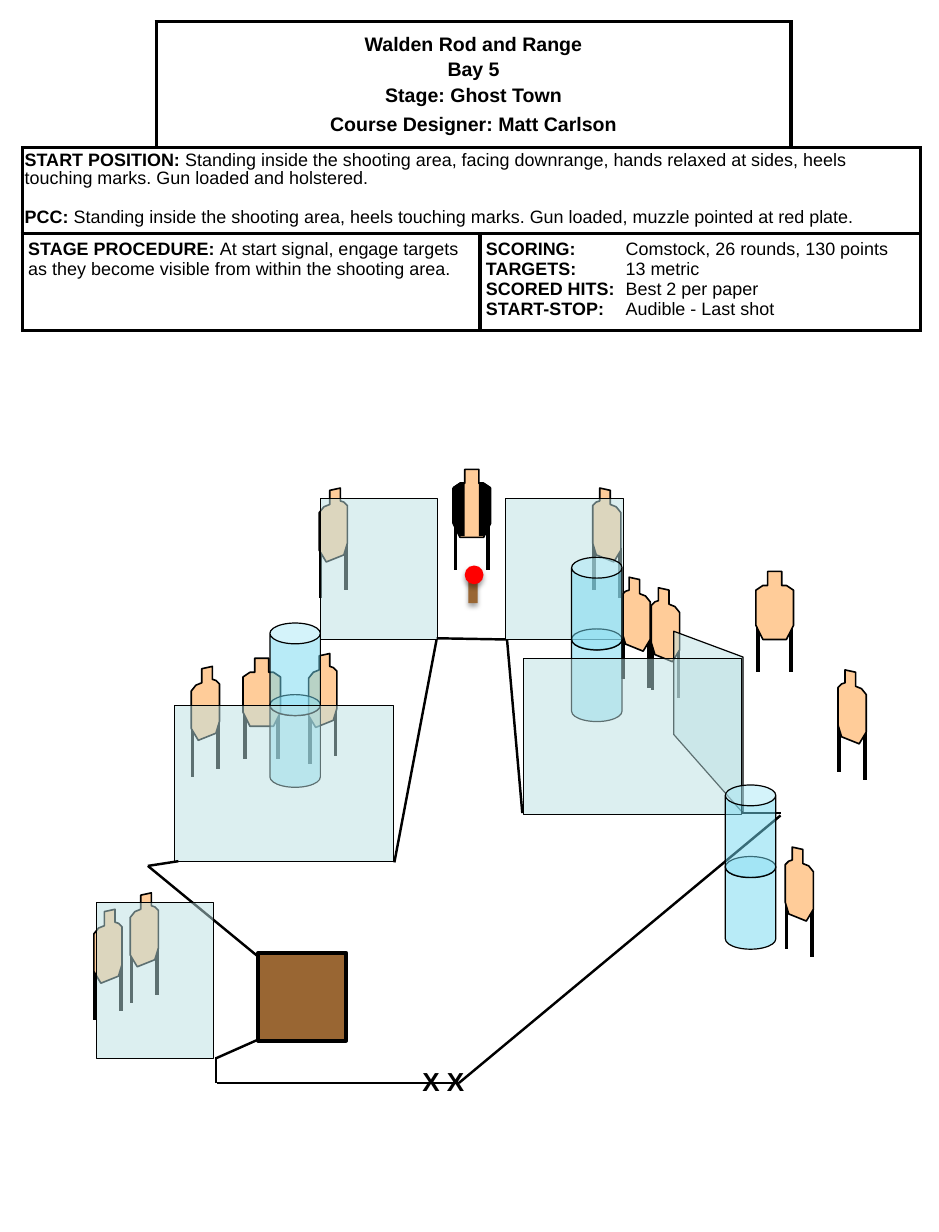
"""Build the one-page stage briefing with its rules table and range diagram."""
from lxml import etree
from pptx import Presentation
from pptx.dml.color import RGBColor
from pptx.enum.shapes import MSO_CONNECTOR, MSO_SHAPE
from pptx.enum.text import MSO_ANCHOR, PP_ALIGN
from pptx.oxml.ns import qn
from pptx.util import Inches, Pt

STRAIGHT = MSO_CONNECTOR.STRAIGHT
RECTANGLE, OVAL, CAN = MSO_SHAPE.RECTANGLE, MSO_SHAPE.OVAL, MSO_SHAPE.CAN
MIDDLE, TOP = MSO_ANCHOR.MIDDLE, MSO_ANCHOR.TOP
CENTER, LEFT = PP_ALIGN.CENTER, PP_ALIGN.LEFT
BLACK = RGBColor(0x00, 0x00, 0x00)
WHITE = RGBColor(0xFF, 0xFF, 0xFF)
TAN = RGBColor(0xFF, 0xCC, 0x99)
BROWN = RGBColor(0x99, 0x66, 0x33)
RED = RGBColor(0xFF, 0x00, 0x00)
PANEL_BLUE = RGBColor(0xBB, 0xE0, 0xE3)
BARREL_BLUE = RGBColor(0x73, 0xD9, 0xF1)
FONT = "Arial"

HEADING = ["Walden Rod and Range", "Bay 5", "Stage: Ghost Town", "Course Designer: Matt Carlson"]
START = [
    ("START POSITION:", " Standing inside the shooting area, facing downrange, hands relaxed "
     "at sides, heels touching marks. Gun loaded and holstered."),
    ("PCC:", " Standing inside the shooting area, heels touching marks. "
     "Gun loaded, muzzle pointed at red plate."),
]
PROCEDURE = [("STAGE PROCEDURE: ", "At start signal, engage targets as they become visible "
              "from within the shooting area.")]
SCORING = [
    ("SCORING:", "\tComstock, 26 rounds, 130 points"),
    ("TARGETS:", "\t13 metric"),
    ("SCORED HITS:", "\tBest 2 per paper"),
    ("START-STOP:", "\tAudible - Last shot"),
]
COLUMN_WIDTHS = [1.14, 2.76, 2.65, 1.1]
ROW_HEIGHTS = [1.08, 0.73, 0.83]

ANGLED_OUTLINE = [(0.15, 0.02), (0.06, 0), (0.06, 0.11), (0.03, 0.12), (0, 0.15), (0, 0.47),
                  (0.03, 0.57), (0.18, 0.63), (0.24, 0.53), (0.24, 0.21), (0.2, 0.16), (0.15, 0.14)]
ANGLED_LEGS = [(0.23, 0.51), (0.01, 0.44)]
FRONT_OUTLINE = [(0.1, 0), (0.22, 0), (0.22, 0.12), (0.26, 0.12), (0.32, 0.16), (0.32, 0.46),
                 (0.26, 0.58), (0.06, 0.58), (0, 0.46), (0, 0.16), (0.06, 0.12), (0.1, 0.12)]
FRONT_LEGS = [(0.02, 0.43), (0.3, 0.43)]
COVER_OUTLINE = [(0.22, 0.11), (0.22, 0.57), (0.26, 0.57), (0.32, 0.46), (0.32, 0.15), (0.26, 0.11)]
LEG_LENGTH, ANGLED_WIDTH, FRONT_WIDTH = 0.43, 0.24, 0.32
BARREL_WIDTH, BARREL_HEIGHT, BARREL_STEP = 0.43, 0.79, 0.61

UPRANGE = [
    ("right", 5.3, 4.92), ("right", 5.55, 5.01), ("front", 2.07, 5.61),
    ("line", 6.65, 6.93, 6.31, 6.93),
    ("right", 5.05, 4.16), ("panel", 4.31, 4.25, 1, 1.2),
    ("left", 2.72, 4.16), ("panel", 2.73, 4.25, 1, 1.2),
    ("line", 1.26, 7.38, 2.22, 8.17),
    ("left", 2.63, 5.57), ("left", 0.8, 7.75), ("left", 1.11, 7.61),
    ("barrel", 2.3, 5.31),
    ("screen", (5.74, 6.26), (6.33, 6.93), (6.33, 5.6), (5.74, 5.38)),
    ("barrel", 4.87, 4.75),
]
DOWNRANGE = [
    ("crate", 2.2, 8.12, 0.75, 0.75), ("marks", 3.5, 9.03, 0.58, 0.37),
    ("line", 1.84, 9.02, 2.2, 8.86),
    ("left", 1.63, 5.68),
    ("line", 3.91, 9.23, 1.85, 9.23), ("line", 3.72, 5.45, 3.36, 7.35),
    ("panel", 0.82, 7.69, 1, 1.33), ("panel", 1.49, 6.01, 1.86, 1.33),
    ("line", 1.52, 7.34, 1.26, 7.38),
    ("panel", 4.46, 5.61, 1.86, 1.33),
    ("line", 4.32, 5.45, 4.45, 6.93),
    ("right", 7.14, 5.71), ("front", 6.44, 4.87),
    ("line", 1.84, 9.23, 1.84, 9.01), ("line", 3.91, 9.23, 6.65, 6.95),
    ("line", 4.31, 5.45, 3.72, 5.44),
    ("covered", 3.86, 4), ("right", 6.69, 7.22),
    ("barrel", 6.18, 6.69), ("plate", 3.99, 4.92),
]


def paint(shape, fill, line_width=0, alpha=None):
    shape.shadow.inherit = False
    shape.fill.solid()
    shape.fill.fore_color.rgb = fill
    if alpha:
        color = shape.fill._xPr.find(qn("a:solidFill"))[0]
        etree.SubElement(color, qn("a:alpha"), val=str(alpha * 1000))
    if line_width:
        shape.line.color.rgb = BLACK
        shape.line.width = Pt(line_width)
    else:
        shape.line.fill.background()
    return shape


def add_box(shapes, kind, box, *style):
    return paint(shapes.add_shape(kind, *map(Inches, box)), *style)


def add_outline(shapes, points, *style):
    corners = [(Inches(x), Inches(y)) for x, y in points]
    builder = shapes.build_freeform(*corners[0])
    builder.add_line_segments(corners[1:], close=True)
    return paint(builder.convert_to_shape(), *style)


def add_line(shapes, x1, y1, x2, y2, width=1.5):
    line = shapes.add_connector(STRAIGHT, *map(Inches, (x1, y1, x2, y2)))
    line.line.color.rgb = BLACK
    line.line.width = Pt(width)
    etree.SubElement(line._element.spPr, qn("a:effectLst"))


def add_target(shapes, kind, left, top):
    angled = kind in ("left", "right")
    outline, legs = (ANGLED_OUTLINE, ANGLED_LEGS) if angled else (FRONT_OUTLINE, FRONT_LEGS)
    width = ANGLED_WIDTH if angled else FRONT_WIDTH

    def place(points, mirrored):
        return [(left + (width - x if mirrored else x), top + y) for x, y in points]

    target = shapes.add_group_shape().shapes
    for x, y in place(legs, kind == "left"):
        add_line(target, x, y, x, y + LEG_LENGTH, 2.25)
    add_outline(target, place(outline, kind == "left"), TAN, 1)
    if kind == "covered":
        for mirrored in (False, True):
            add_outline(target, place(COVER_OUTLINE, mirrored), BLACK)


def add_barrel(shapes, left, top):
    barrel = shapes.add_group_shape().shapes
    for y in (top + BARREL_STEP, top):
        box = (left, y, BARREL_WIDTH, BARREL_HEIGHT)
        add_box(barrel, CAN, box, BARREL_BLUE, 0.75, 50).adjustments[0] = 0.413


def add_plate(shapes, left, top):
    plate = shapes.add_group_shape().shapes
    parts = [(RECTANGLE, (left, top, 0.08, 0.22), BROWN),
             (OVAL, (left - 0.03, top - 0.1, 0.16, 0.16), RED)]
    for kind, box, fill in parts:
        shape = add_box(plate, kind, box, fill)
        effects = shape._element.spPr.find(qn("a:effectLst"))
        shadow = etree.SubElement(effects, qn("a:outerShdw"), blurRad=str(Pt(3.1)),
                                  dist=str(Pt(1.8)), dir="5400000", rotWithShape="0")
        color = etree.SubElement(shadow, qn("a:srgbClr"), val=str(BLACK))
        etree.SubElement(color, qn("a:alpha"), val="35000")


def add_run(paragraph, text, size, bold):
    run = paragraph.add_run()
    run.text = text
    run.font.name, run.font.size, run.font.bold = FONT, Pt(size), bold
    run.font.color.rgb = BLACK


def add_marks(shapes, *box):
    text_box = shapes.add_textbox(*map(Inches, box))
    text_box.text_frame.word_wrap = True
    add_run(text_box.text_frame.paragraphs[0], "X X", 16, True)


def draw(shapes, items):
    for kind, *place in items:
        if kind == "line":
            add_line(shapes, *place)
        elif kind == "panel":
            add_box(shapes, RECTANGLE, place, PANEL_BLUE, 0.75, 50)
        elif kind == "crate":
            add_box(shapes, RECTANGLE, place, BROWN, 2.25)
        elif kind == "screen":
            add_outline(shapes, place, PANEL_BLUE, 0.75, 50)
        elif kind in ("barrel", "plate", "marks"):
            {"barrel": add_barrel, "plate": add_plate, "marks": add_marks}[kind](shapes, *place)
        else:
            add_target(shapes, kind, *place)


def style_cell(cell, sides):
    cell.fill.solid()
    cell.fill.fore_color.rgb = WHITE
    properties = cell._tc.get_or_add_tcPr()
    for index, side in enumerate(sides):
        border = etree.Element(qn(f"a:ln{side}"), w=str(Pt(2.25)))
        fill = etree.SubElement(border, qn("a:solidFill"))
        etree.SubElement(fill, qn("a:srgbClr"), val=str(BLACK))
        properties.insert(index, border)


def fill_cell(cell, rows, size=11, gaps=(), spacing=1.0, align=LEFT, anchor=TOP,
              margins=(0.05, 0.05), tab=None):
    cell.vertical_anchor = anchor
    cell.margin_left = cell.margin_right = Inches(margins[0])
    cell.margin_top = cell.margin_bottom = Inches(margins[1])
    for index, runs in enumerate(rows):
        frame = cell.text_frame
        paragraph = frame.add_paragraph() if index else frame.paragraphs[0]
        paragraph.alignment, paragraph.line_spacing = align, spacing
        paragraph.space_before = Pt(gaps[index - 1] if index and gaps else 0)
        if tab:
            stops = etree.SubElement(paragraph._p.get_or_add_pPr(), qn("a:tabLst"))
            etree.SubElement(stops, qn("a:tab"), pos=str(Inches(tab)), algn="l")
        for position, text in enumerate(runs):
            add_run(paragraph, text, size, position == 0)


def add_rules_table(shapes):
    box = (0.19, 0.18, sum(COLUMN_WIDTHS), sum(ROW_HEIGHTS))
    table = shapes.add_table(3, 4, *map(Inches, box)).table
    table.first_row = table.horz_banding = False
    for column, width in zip(table.columns, COLUMN_WIDTHS):
        column.width = Inches(width)
    for row, height in zip(table.rows, ROW_HEIGHTS):
        row.height = Inches(height)
    corners = {(0, 0): "RB", (0, 3): "LB"}
    for row in range(3):
        for column in range(4):
            style_cell(table.cell(row, column), corners.get((row, column), "LRTB"))
    for row, first, last in [(0, 1, 2), (1, 0, 3), (2, 0, 1), (2, 2, 3)]:
        table.cell(row, first).merge(table.cell(row, last))
    fill_cell(table.cell(0, 1), [(text,) for text in HEADING], size=12, gaps=(2.4, 2.4, 4.2),
              align=CENTER, anchor=MIDDLE)
    fill_cell(table.cell(1, 0), START, gaps=(13,), spacing=0.9, margins=(0.02, 0.04))
    fill_cell(table.cell(2, 0), PROCEDURE)
    fill_cell(table.cell(2, 2), SCORING, tab=1.19)


def main():
    presentation = Presentation()
    presentation.slide_width, presentation.slide_height = Inches(8), Inches(10.5)
    shapes = presentation.slides.add_slide(presentation.slide_layouts[6]).shapes
    draw(shapes, UPRANGE)
    add_rules_table(shapes)
    draw(shapes, DOWNRANGE)
    presentation.save("out.pptx")


if __name__ == "__main__":
    main()
